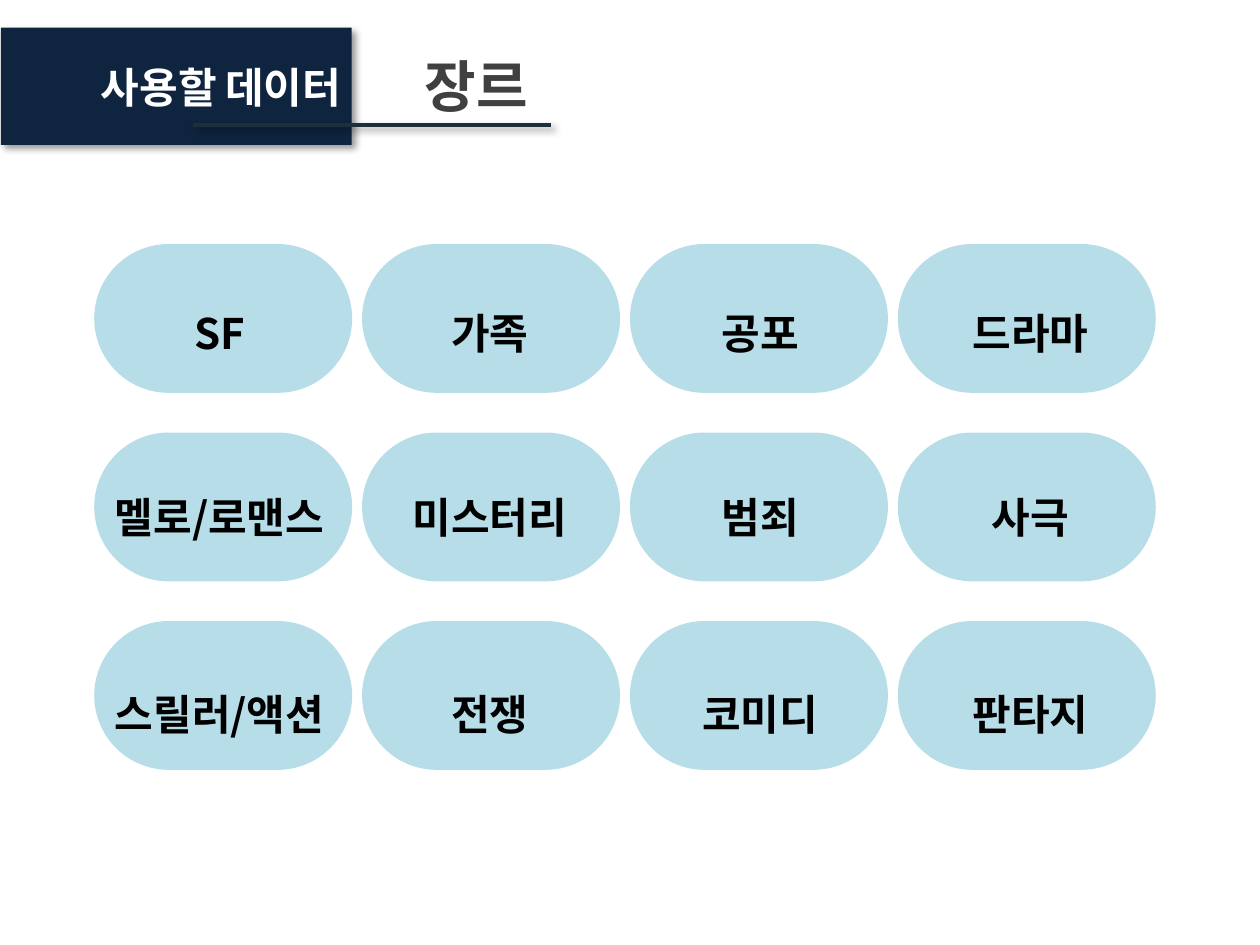
"""Build the genre slide: a header tag, a title and a grid of genre pills."""
from dataclasses import dataclass
from itertools import product

from lxml import etree
from pptx import Presentation
from pptx import util as u
from pptx.dml.color import RGBColor
from pptx.enum import shapes, text
from pptx.oxml.ns import qn

TAG = "사용할 데이터"
TITLE = "장르"
GENRES = [
    ["SF", "가족", "공포", "드라마"],
    ["멜로/로맨스", "미스터리", "범죄", "사극"],
    ["스릴러/액션", "전쟁", "코미디", "판타지"],
]


@dataclass
class Theme:
    navy: str = "0F243E"
    rule: str = "1D2F39"
    pill: str = "B7DEE8"
    white: str = "FFFFFF"
    gray: str = "404040"
    black: str = "000000"
    head: str = "Manrope"
    body: str = "Noto Sans CJK KR"
    big: int = 32
    mid: int = 24


LOOK = Theme()
PILL = dict(left=1.9, top=4.92, wide=5.2, high=3, across=5.4, down=3.8)
GRID = dict(left=1.7, top=4.72, wide=5.45, rows=[3.7, 3.97, 3.97], drop=1.35)
PLAIN = "{2D5ABB26-0587-4C30-8999-92F81FD0307C}"


def box(*sizes):
    return [u.Cm(size) for size in sizes]


def write(frame, words, font, size, color, align):
    para = frame.paragraphs[0]
    para.alignment = align
    run = para.add_run()
    run.text = words
    run.font.name = font
    run.font.size = u.Pt(size)
    run.font.bold = True
    run.font.color.rgb = RGBColor.from_string(color)
    east = etree.SubElement(run.font._element, qn("a:ea"))
    east.set("typeface", font)


def head(frame, words, size, color):
    frame.word_wrap = True
    frame.auto_size = text.MSO_AUTO_SIZE.NONE
    frame.vertical_anchor = text.MSO_ANCHOR.TOP
    write(frame, words, LOOK.head, size, color, text.PP_ALIGN.RIGHT)


def block(group, kind, place, color):
    shape = group.add_shape(kind, *box(*place))
    shape.shadow.inherit = False
    shape.fill.solid()
    shape.fill.fore_color.rgb = RGBColor.from_string(color)
    shape.line.fill.background()
    return shape


def shade(shape):
    props = shape._element.spPr
    for old in props.findall(qn("a:effectLst")):
        props.remove(old)
    list_ = etree.SubElement(props, qn("a:effectLst"))
    cast = etree.SubElement(list_, qn("a:outerShdw"), blurRad=str(u.Pt(4)),
                            dist=str(u.Pt(3)), dir="2700000", algn="tl", rotWithShape="0")
    tint = etree.SubElement(cast, qn("a:srgbClr"), val=LOOK.black)
    etree.SubElement(tint, qn("a:alpha"), val="40000")


def header(slide):
    group = slide.shapes.add_group_shape().shapes
    shade(block(group, shapes.MSO_SHAPE.RECTANGLE, (0.02, 0.56, 7.07, 2.36), LOOK.navy))
    label = group.add_textbox(*box(1.2, 1.12, 5.93, 1.28))
    head(label.text_frame, TAG, LOOK.mid, LOOK.white)

    title = slide.shapes.title
    title.left, title.top, title.width, title.height = box(8.1, 0.91, 2.8, 1.63)
    head(title.text_frame, TITLE, LOOK.big, LOOK.gray)

    rule = slide.shapes.add_connector(
        shapes.MSO_CONNECTOR.STRAIGHT, *box(3.9, 2.52, 11.1, 2.52))
    rule.line.color.rgb = RGBColor.from_string(LOOK.rule)
    rule.line.width = u.Pt(2.25)
    shade(rule)


def pills(slide):
    for row, col in product(range(len(GENRES)), range(len(GENRES[0]))):
        place = (PILL["left"] + col * PILL["across"], PILL["top"] + row * PILL["down"],
                 PILL["wide"], PILL["high"])
        pill = block(slide.shapes, shapes.MSO_SHAPE.ROUNDED_RECTANGLE, place, LOOK.pill)
        pill.adjustments[0] = 0.5


def names(slide):
    cols = len(GENRES[0])
    place = box(GRID["left"], GRID["top"], cols * GRID["wide"], sum(GRID["rows"]))
    table = slide.shapes.add_table(len(GENRES), cols, *place).table
    table.first_row = table.horz_banding = False
    table._tbl.tblPr.find(qn("a:tableStyleId")).text = PLAIN
    for col in table.columns:
        col.width = u.Cm(GRID["wide"])
    for row, high, words in zip(table.rows, GRID["rows"], GENRES):
        row.height = u.Cm(high)
        for cell, word in zip(row.cells, words):
            cell.fill.background()
            cell.margin_top = u.Cm(GRID["drop"])
            write(cell.text_frame, word, LOOK.body, LOOK.mid, LOOK.black,
                  text.PP_ALIGN.CENTER)


def main():
    deck = Presentation()
    deck.slide_width, deck.slide_height = box(25.4, 19.05)
    slide = deck.slides.add_slide(deck.slide_layouts[5])
    header(slide)
    pills(slide)
    names(slide)
    deck.save("out.pptx")


if __name__ == "__main__":
    main()
